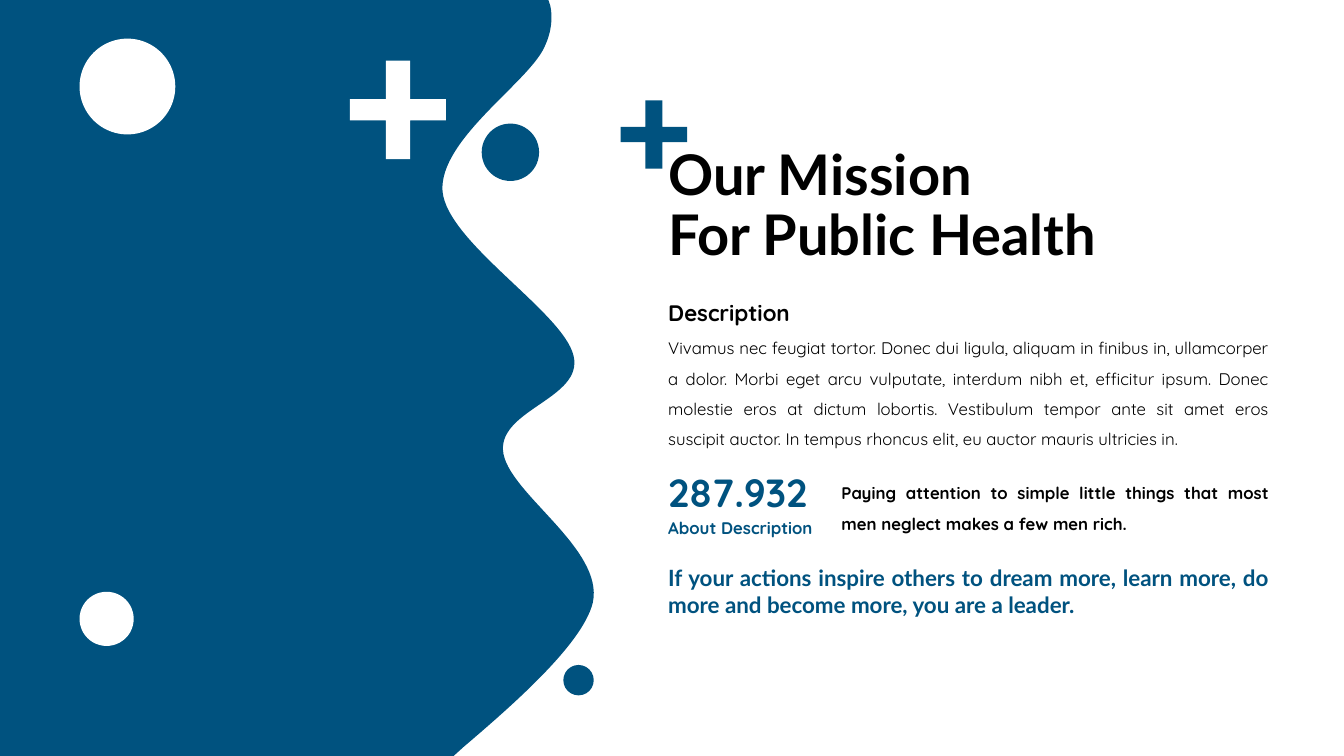
from dataclasses import dataclass

from lxml import etree
from pptx import Presentation
from pptx.dml.color import RGBColor
from pptx.enum import shapes, text
from pptx.oxml.ns import qn
from pptx.util import Pt


@dataclass(frozen=True)
class Theme:
    blue: RGBColor = RGBColor(0x00, 0x52, 0x7F)
    white: RGBColor = RGBColor(0xFF, 0xFF, 0xFF)
    black: RGBColor = RGBColor(0, 0, 0)
    heading_font: str = "Lato"
    body_font: str = "Quicksand"
    title: int = 40
    figure: int = 28
    subtitle: int = 16
    body: int = 12


THEME = Theme()
TEXT_LEFT = 470.2
TEXT_WIDTH = 443.5

# The wave's right edge from top to bottom: a start point, then
# two control points and an end point for every curve.
WAVE_START = (393.1, 4.3)
WAVE_CURVES = [
    ((394.6, 11.5), (394.6, 21.6), (388.8, 33.8)),
    ((377.3, 59), (313.2, 100.1), (316.1, 136.8)),
    ((319.7, 173.5), (402.5, 223.2), (409.7, 254.2)),
    ((416.9, 284.4), (357.1, 292.3), (359.3, 321.8)),
    ((361.4, 351.4), (432, 391.7), (423.4, 430.6)),
    ((416.2, 460.1), (365.8, 504), (331.2, 533.5)),
]


def style_shape(sp, color):
    sp.shadow.inherit = False
    sp.fill.solid()
    sp.fill.fore_color.rgb = color
    sp.line.fill.background()


def add_outline(s, points, color):
    (x, y), *rest = points
    builder = s.shapes.build_freeform(Pt(x), Pt(y))
    builder.add_line_segments([(Pt(x), Pt(y)) for x, y in rest], close=True)
    sp = builder.convert_to_shape()
    style_shape(sp, color)
    return sp


def bend(segment, controls):
    """Turn a straight outline segment into a cubic curve."""
    segment.tag = qn("a:cubicBezTo")
    for i, (x, y) in enumerate(controls):
        pt = etree.Element(qn("a:pt"), x=str(Pt(x)), y=str(Pt(y)))
        segment.insert(i, pt)


def add_wave(s, color):
    """Draw the wave from the slide's corner, so its own and slide points agree."""
    before = [(0, 540), (0, 0), (391.7, 0), WAVE_START]
    ends = [end for _, _, end in WAVE_CURVES]
    sp = add_outline(s, [*before, *ends, (324, 540)], color)
    segments = list(sp._element.iter(qn("a:lnTo")))[len(before) - 1:]
    for segment, (c1, c2, _) in zip(segments, WAVE_CURVES):
        bend(segment, (c1, c2))


def add_plus(s, left, top, width, height, upright, bar, color):
    """Draw a plus whose upright and bar have their own thickness."""
    right, bottom = left + width, top + height
    x1 = left + (width - upright) / 2
    y1 = top + (height - bar) / 2
    x2, y2 = x1 + upright, y1 + bar
    add_outline(s, [
        (x1, top), (x2, top), (x2, y1), (right, y1), (right, y2), (x2, y2),
        (x2, bottom), (x1, bottom), (x1, y2), (left, y2), (left, y1), (x1, y1),
    ], color)


def add_circle(s, left, top, size, color):
    sp = s.shapes.add_shape(
        shapes.MSO_SHAPE.OVAL, Pt(left), Pt(top), Pt(size), Pt(size))
    style_shape(sp, color)


def style_text(p, font, size, color, bold, spacing, align):
    p.line_spacing = spacing
    p.alignment = align
    for r in p.runs:
        r.font.name = font
        r.font.size = Pt(size)
        r.font.bold = bold
        r.font.color.rgb = color


def add_text(s, left, top, width, height, words, size, color,
             font=THEME.body_font, bold=True, spacing=1.0,
             anchor=text.MSO_ANCHOR.TOP):
    sp = s.shapes.add_textbox(Pt(left), Pt(top), Pt(width), Pt(height))
    tf = sp.text_frame
    tf.word_wrap = True
    tf.auto_size = text.MSO_AUTO_SIZE.SHAPE_TO_FIT_TEXT
    tf.vertical_anchor = anchor
    tf.text = words
    style_text(tf.paragraphs[0], font, size, color, bold, spacing,
               text.PP_ALIGN.JUSTIFY)


def set_title(s, words):
    """Fill the title and bring it to the front, over the plus."""
    sp = s.shapes.title
    sp.left, sp.top, sp.width, sp.height = Pt(TEXT_LEFT), Pt(95.8), Pt(365.8), Pt(104.4)
    tf = sp.text_frame
    tf.auto_size = text.MSO_AUTO_SIZE.NONE
    tf.vertical_anchor = text.MSO_ANCHOR.MIDDLE
    tf.text = words
    style_text(tf.paragraphs[0], THEME.heading_font, THEME.title, THEME.black,
               True, 0.9, text.PP_ALIGN.LEFT)
    s.shapes._spTree.append(sp._element)


def main():
    prs = Presentation()
    prs.slide_width, prs.slide_height = Pt(960), Pt(540)
    s = prs.slides.add_slide(prs.slide_layouts[5])
    blue, white, black = THEME.blue, THEME.white, THEME.black
    middle = text.MSO_ANCHOR.MIDDLE

    add_wave(s, blue)
    add_plus(s, 443.4, 71.8, 47.5, 48.7, 12.2, 10.8, blue)
    add_text(s, TEXT_LEFT, 230.8, TEXT_WIDTH, 94.3,
             "Vivamus nec feugiat tortor. Donec dui ligula, aliquam in finibus in, "
             "ullamcorper a dolor. Morbi eget arcu vulputate, interdum nibh et, "
             "efficitur ipsum. Donec molestie eros at dictum lobortis. Vestibulum "
             "tempor ante sit amet eros suscipit auctor. In tempus rhoncus elit, "
             "eu auctor mauris ultricies in.",
             THEME.body, black, bold=False, spacing=1.5)
    add_text(s, TEXT_LEFT, 200.5, 213, 32.4, "Description",
             THEME.subtitle, black, spacing=1.5)
    add_text(s, TEXT_LEFT, 366.5, 123.8, 21.6, "About Description",
             THEME.body, blue, anchor=middle)
    add_text(s, TEXT_LEFT, 330.8, 165.6, 41, "287.932",
             THEME.figure, blue, anchor=middle)
    add_text(s, 594, 334.4, 319.7, 48.2,
             "Paying attention to simple little things that most men neglect "
             "makes a few men rich.", THEME.body, black, spacing=1.5)
    add_text(s, TEXT_LEFT, 399.6, TEXT_WIDTH, 46.1,
             "If your actions inspire others to dream more, learn more, do more "
             "and become more, you are a leader.",
             THEME.subtitle, blue, font=THEME.heading_font)
    add_plus(s, 250, 43.3, 68.5, 70.3, 17.3, 15.3, white)
    for left, top, size, color in [
        (56.8, 422.7, 38.7, white),
        (56.8, 27.6, 68.4, white),
        (402.4, 475, 21.7, blue),
        (344.1, 88.3, 41, blue),
    ]:
        add_circle(s, left, top, size, color)
    set_title(s, "Our Mission \vFor Public Health")

    prs.save("out.pptx")


if __name__ == "__main__":
    main()
